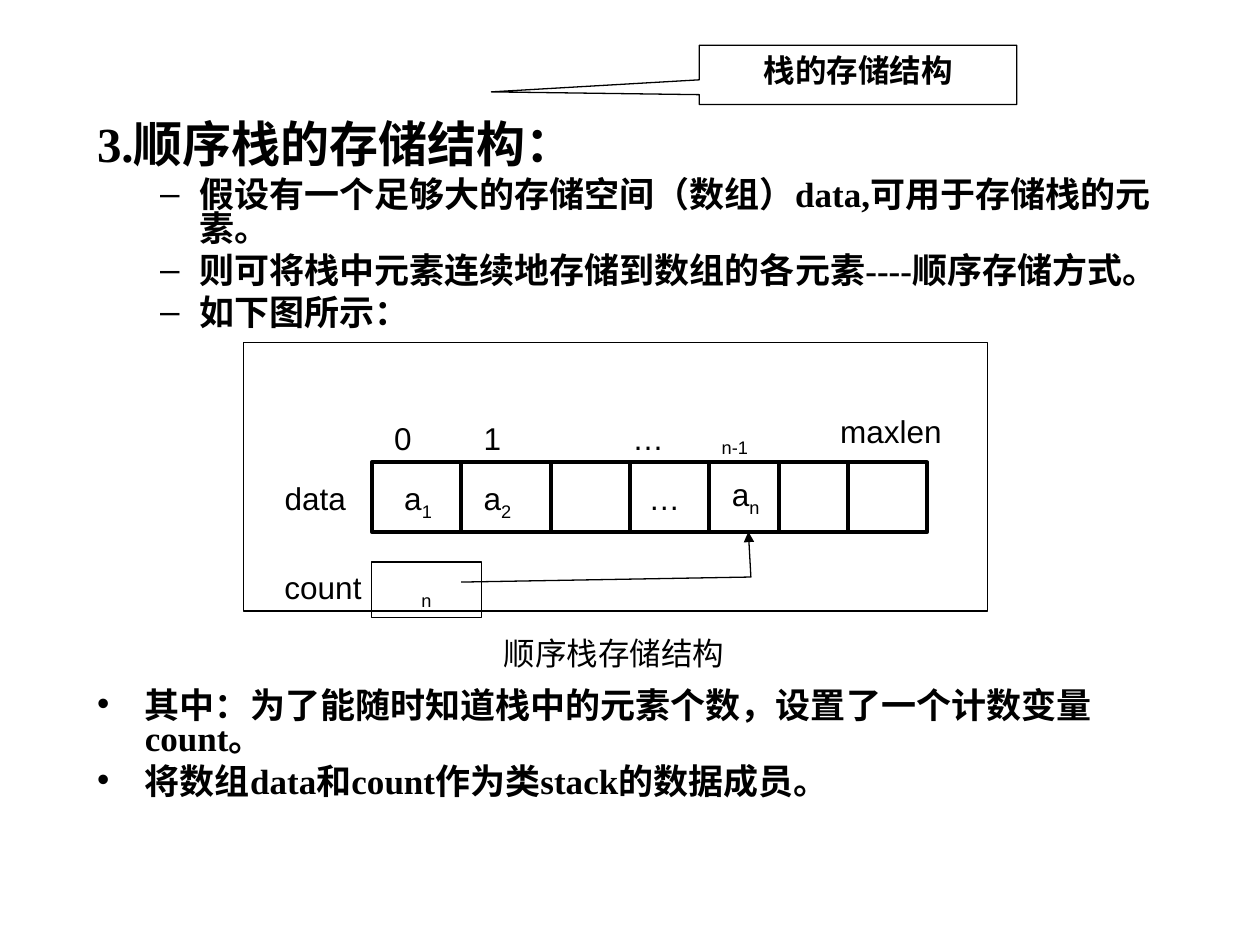
from lxml.etree import SubElement
from pptx import Presentation
from pptx.dml.color import RGBColor
from pptx.enum.shapes import MSO_CONNECTOR, MSO_SHAPE
from pptx.enum.text import MSO_ANCHOR as Anchor, MSO_AUTO_SIZE as AutoSize, PP_ALIGN as Align
from pptx.oxml.ns import qn
from pptx.util import Inches, Pt

BLACK = RGBColor(0, 0, 0)
WHITE = RGBColor(255, 255, 255)
BODY_FONT = "Times New Roman"
LABEL_FONT = "Arial"

# text, level, size, bullet, space before (the fifth leaves room for the diagram)
BODY = [
    ("3.顺序栈的存储结构：", 0, 28, None, 0),
    ("假设有一个足够大的存储空间（数组）data,可用于存储栈的元素。", 1, 20, "–", 5),
    ("则可将栈中元素连续地存储到数组的各元素----顺序存储方式。", 1, 20, "–", 5),
    ("如下图所示：", 1, 20, "–", 5),
    ("其中：为了能随时知道栈中的元素个数，设置了一个计数变量count。", 0, 20, "•", 205),
    ("将数组data和count作为类stack的数据成员。", 0, 20, "•", 5),
]
INDENTS = [(0.38, -0.38), (0.81, -0.31)]

ARRAY_LEFT, ARRAY_TOP, ARRAY_WIDTH, ARRAY_HEIGHT = 2.95, 3.67, 4.41, 0.55
DIVIDERS = [3.66, 4.37, 5, 5.63, 6.18, 6.73]
INDEX_TOP, CELL_TOP, COUNT_TOP = 3.28, 3.75, 4.46

# text, subscript, left, top, width, line spacing
LABELS = [
    ("0", "", 3.03, INDEX_TOP, 0.79, 1),
    ("1", "", 3.74, INDEX_TOP, 0.63, 1),
    ("…", "", 4.92, INDEX_TOP, 0.79, 1),
    ("", "n-1", 5.63, INDEX_TOP, 0.87, 0.8),
    ("maxlen", "", 6.57, INDEX_TOP, 1.03, 0.8),
    ("data", "", 2.16, CELL_TOP, 0.79, 1),
    ("a", "1", 3.11, CELL_TOP, 0.79, 1),
    ("a", "2", 3.74, CELL_TOP, 0.63, 1),
    ("…", "", 5.05, CELL_TOP, 0.79, 1),
    ("a", "n", 5.71, CELL_TOP, 0.87, 0.8),
    ("count", "", 2.16, COUNT_TOP, 0.87, 1),
    ("顺序栈存储结构", "", 3.9, 4.98, 2.52, 1),
]


def format_font(font, size, name, bold=False):
    font.size = Pt(size)
    font.name = name
    font.bold = bold
    font.color.rgb = BLACK


def set_bullet(paragraph, level, character):
    properties = paragraph._p.get_or_add_pPr()
    margin, indent = INDENTS[level]
    properties.set("marL", str(Inches(margin)))
    properties.set("indent", str(Inches(indent)))
    if character:
        SubElement(properties, qn("a:buChar")).set("char", character)
    else:
        SubElement(properties, qn("a:buNone"))


def fill_body(placeholder):
    placeholder.left, placeholder.top = Inches(0.67), Inches(0.94)
    placeholder.width, placeholder.height = Inches(8.82), Inches(5.72)
    text_frame = placeholder.text_frame
    text_frame.text = "\n".join(row[0] for row in BODY)
    text_frame.auto_size = AutoSize.NONE
    text_frame.vertical_anchor = Anchor.TOP
    for paragraph, (_, level, size, bullet, space) in zip(text_frame.paragraphs, BODY):
        paragraph.level = level
        set_bullet(paragraph, level, bullet)
        paragraph.line_spacing = 0.8
        paragraph.space_before = Pt(space)
        format_font(paragraph.runs[0].font, size, BODY_FONT, True)


def write_label(text_frame, text, subscript="", bold=False):
    text_frame.word_wrap = True
    text_frame.vertical_anchor = Anchor.TOP
    paragraph = text_frame.paragraphs[0]
    for content, baseline in ((text, None), (subscript, "-25000")):
        if content:
            run = paragraph.add_run()
            run.text = content
            format_font(run.font, 18, LABEL_FONT, bold)
            if baseline:
                run._r.get_or_add_rPr().set("baseline", baseline)
    return paragraph


def add_label(slide, text, subscript, left, top, width, spacing):
    box = slide.shapes.add_textbox(Inches(left), Inches(top), Inches(width), Inches(0.4))
    write_label(box.text_frame, text, subscript).line_spacing = spacing


def outline(shape, width=0.75):
    shape.shadow.inherit = False
    shape.fill.background()
    shape.line.color.rgb = BLACK
    shape.line.width = Pt(width)


def add_box(slide, left, top, width, height, line_width=0.75, kind=MSO_SHAPE.RECTANGLE):
    shape = slide.shapes.add_shape(kind, Inches(left), Inches(top), Inches(width), Inches(height))
    outline(shape, line_width)
    return shape


def add_callout(slide):
    callout = add_box(slide, 5.55, 0.36, 2.52, 0.47, kind=MSO_SHAPE.RECTANGULAR_CALLOUT)
    callout.fill.solid()
    callout.fill.fore_color.rgb = WHITE
    callout.adjustments[0] = -1.155
    callout.adjustments[1] = 0.287
    write_label(callout.text_frame, "栈的存储结构", bold=True).alignment = Align.CENTER


def add_divider(slide, x):
    line = slide.shapes.add_connector(
        MSO_CONNECTOR.STRAIGHT, Inches(x), Inches(ARRAY_TOP),
        Inches(x), Inches(ARRAY_TOP + ARRAY_HEIGHT))
    line.line.color.rgb = BLACK
    line.line.width = Pt(2.25)
    SubElement(line._element.spPr, qn("a:effectLst"))


def add_count_arrow(slide):
    """Bent arrow from the count box to the top element of the stack."""
    builder = slide.shapes.build_freeform(Inches(3.66), Inches(4.62))
    builder.add_line_segments(
        [(Inches(5.96), Inches(4.58)), (Inches(5.94), Inches(4.22))], close=False)
    arrow = builder.convert_to_shape()
    outline(arrow)
    SubElement(arrow.line._get_or_add_ln(), qn("a:tailEnd")).set("type", "triangle")


def add_array(slide):
    add_box(slide, ARRAY_LEFT, ARRAY_TOP, ARRAY_WIDTH, ARRAY_HEIGHT, 2.25)
    for x in DIVIDERS:
        add_divider(slide, x)


def main():
    presentation = Presentation()
    presentation.slide_width, presentation.slide_height = Inches(10), Inches(7.5)
    slide = presentation.slides.add_slide(presentation.slide_layouts[1])
    title = slide.shapes.title._element
    title.getparent().remove(title)
    fill_body(slide.placeholders[1])
    add_callout(slide)
    add_array(slide)
    count_box = add_box(slide, ARRAY_LEFT, COUNT_TOP, 0.87, 0.44)
    write_label(count_box.text_frame, "", "n").alignment = Align.CENTER
    add_box(slide, 1.93, 2.72, 5.91, 2.13)
    for label in LABELS:
        add_label(slide, *label)
    add_count_arrow(slide)
    presentation.save("out.pptx")


if __name__ == "__main__":
    main()
